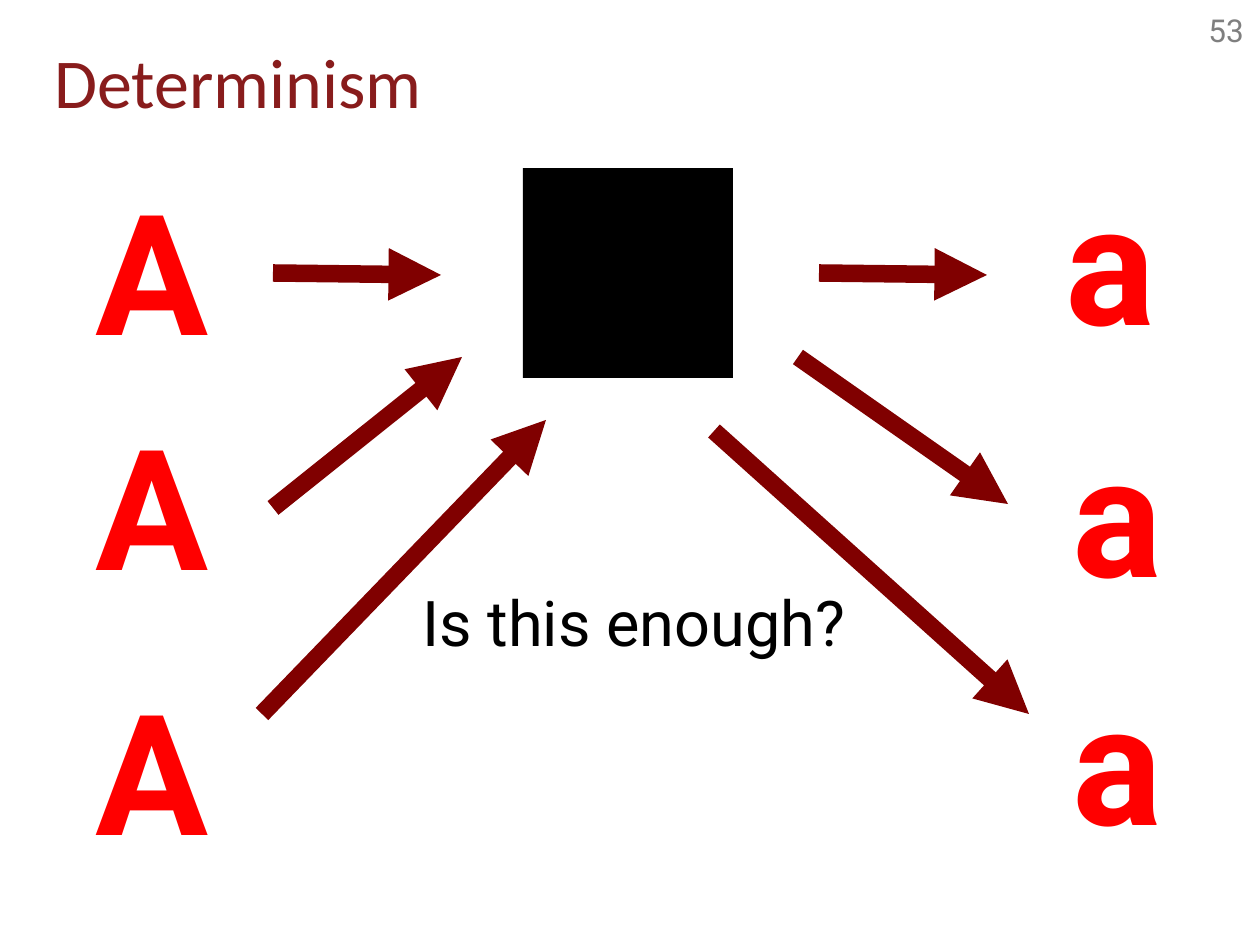
from dataclasses import dataclass

from pptx import Presentation
from pptx.dml.color import RGBColor
from pptx.enum.shapes import MSO_CONNECTOR, MSO_SHAPE
from pptx.enum.text import MSO_ANCHOR, MSO_AUTO_SIZE, PP_ALIGN
from pptx.oxml.ns import qn
from pptx.util import Emu, Pt
from lxml.etree import SubElement

PX_PER_INCH = 126


@dataclass(frozen=True)
class Theme:
    heading_font: str = "Calibri"
    body_font: str = "Roboto"
    heading: str = "881C1C"
    number: str = "7F7F7F"
    letter: str = "FF0000"
    arrow: str = "800000"
    ink: str = "000000"
    heading_size: int = 40
    number_size: int = 18
    letter_size: int = 96
    question_size: int = 36
    arrow_width: int = 10


THEME = Theme()


def px(length):
    return Emu(round(length * 914400 / PX_PER_INCH))


def add_text(slide, wording, box, size, color, font=THEME.body_font,
             bold=False, align=PP_ALIGN.LEFT, grow=True):
    label = slide.shapes.add_textbox(*map(px, box))
    frame = label.text_frame
    frame.word_wrap = True
    frame.vertical_anchor = MSO_ANCHOR.TOP
    frame.auto_size = MSO_AUTO_SIZE.SHAPE_TO_FIT_TEXT if grow else MSO_AUTO_SIZE.NONE
    paragraph = frame.paragraphs[0]
    paragraph.alignment = align
    run = paragraph.add_run()
    run.text = wording
    run.font.name = font
    run.font.size = Pt(size)
    run.font.bold = bold
    run.font.color.rgb = RGBColor.from_string(color)


def add_letter(slide, letter, left, top, height):
    add_text(slide, letter, (left, top, 158, height), THEME.letter_size,
             THEME.letter, bold=True, align=PP_ALIGN.CENTER)


def add_black_box(slide, left, top, side):
    black_box = slide.shapes.add_shape(
        MSO_SHAPE.RECTANGLE, px(left), px(top), px(side), px(side))
    black_box.shadow.inherit = False
    black_box.fill.solid()
    black_box.fill.fore_color.rgb = RGBColor.from_string(THEME.ink)
    black_box.line.fill.background()


def add_arrow(slide, start, end):
    arrow = slide.shapes.add_connector(
        MSO_CONNECTOR.STRAIGHT, *map(px, (*start, *end)))
    arrow.line.color.rgb = RGBColor.from_string(THEME.arrow)
    arrow.line.width = Pt(THEME.arrow_width)
    SubElement(arrow.line._get_or_add_ln(), qn("a:tailEnd"), type="triangle")
    SubElement(arrow._element.spPr, qn("a:effectLst"))


def main():
    deck = Presentation()
    deck.slide_width, deck.slide_height = px(1260), px(945)
    slide = deck.slides.add_slide(deck.slide_layouts[6])

    add_text(slide, "53", (1196, 5, 73, 50), THEME.number_size, THEME.number)
    add_text(slide, "Determinism", (42, 32, 1218, 73), THEME.heading_size,
             THEME.heading, font=THEME.heading_font, grow=False)
    add_black_box(slide, 523, 168, 210)

    for input_top in (161, 396, 661):
        add_letter(slide, "A", 73, input_top, 220)
    for output_left, output_top in ((1032, 151), (1039, 403), (1039, 651)):
        add_letter(slide, "a", output_left, output_top, 217)

    input_arrows = [((273, 273), (441, 275)),
                    ((273, 508), (462, 357)),
                    ((262, 714), (546, 420))]
    output_arrows = [((819, 273), (987, 275)),
                     ((798, 357), (1008, 504)),
                     ((714, 431), (1029, 714))]
    for start, end in input_arrows + output_arrows:
        add_arrow(slide, start, end)

    add_text(slide, "Is this enough?", (410, 577, 514, 89),
             THEME.question_size, THEME.ink)
    deck.save("out.pptx")


if __name__ == "__main__":
    main()
